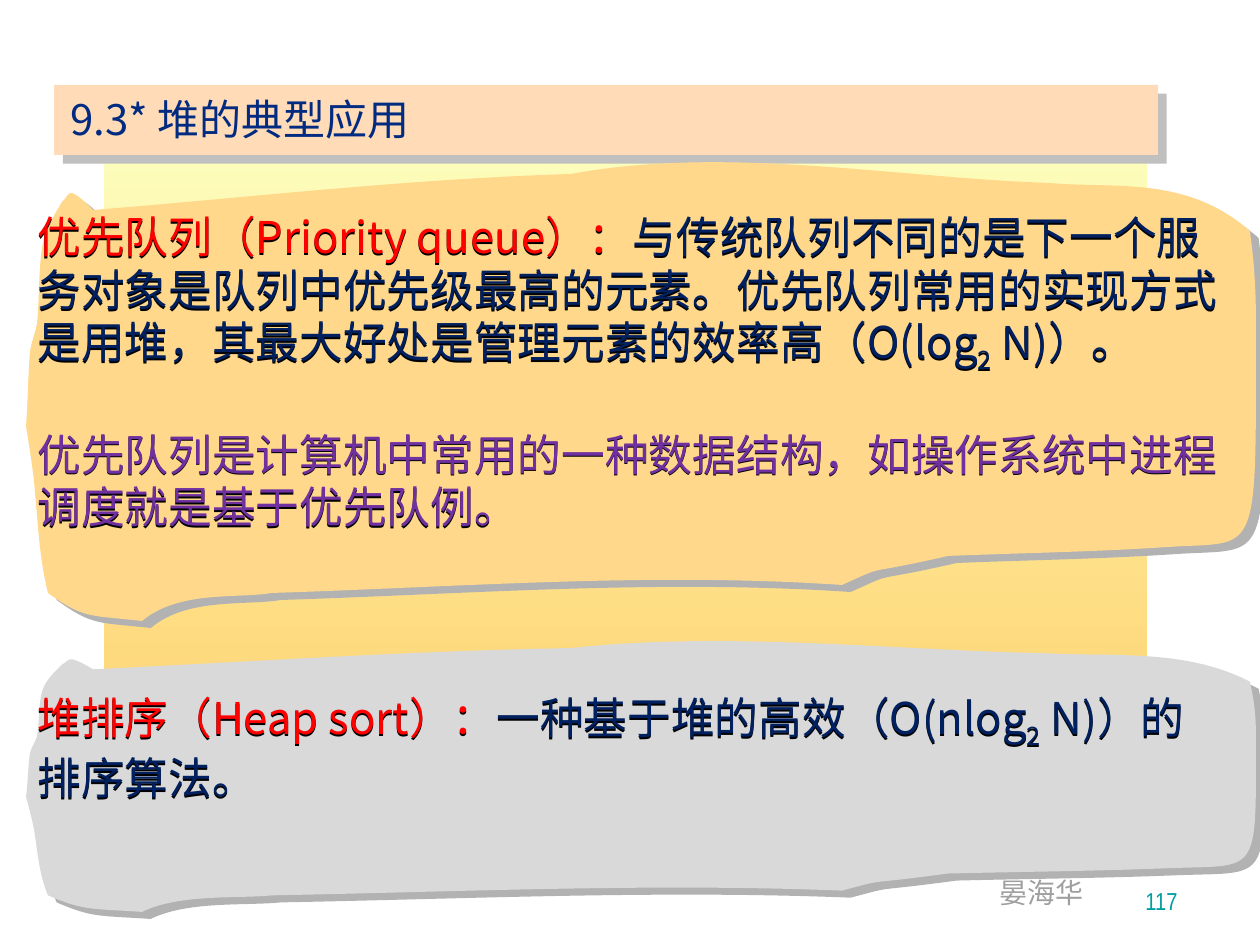
from lxml.etree import SubElement
from pptx import Presentation
from pptx.dml.color import RGBColor
from pptx.enum.shapes import MSO_SHAPE as Preset
from pptx.enum.text import MSO_ANCHOR as Anchor, MSO_AUTO_SIZE as AutoSize, PP_ALIGN as Align
from pptx.oxml.ns import qn
from pptx.util import Inches, Pt

PX = 7257  # EMU in one px, at 126 px to the inch
CJK, NARROW = "Noto Sans CJK SC", "Arial Narrow"

PALE_YELLOW = RGBColor(0xFC, 0xFE, 0xBC)
AMBER = RGBColor(0xFF, 0xCC, 0x66)
PEACH = RGBColor(0xFF, 0xDB, 0xB7)
ORANGE = RGBColor(0xFF, 0xD8, 0x8B)
LIGHT_GREY = RGBColor(0xD9, 0xD9, 0xD9)
SHADOW_GREY = RGBColor(0xB2, 0xB2, 0xB2)
SILVER = RGBColor(0xC0, 0xC0, 0xC0)
AUTHOR_GREY = RGBColor(0x9F, 0x9F, 0x9F)
TEAL = RGBColor(0x00, 0x9E, 0xA1)
BLUE = RGBColor(0x00, 0x2B, 0x80)
NAVY = RGBColor(0x00, 0x20, 0x60)
RED = RGBColor(0xFF, 0x00, 0x00)
PURPLE = RGBColor(0x70, 0x30, 0xA0)
BLACK = RGBColor(0x00, 0x00, 0x00)

# Torn-paper outline in px, y from its top: a start, then Bézier triples.
PAPER_START = (62, 57)
PAPER_CURVES = [
    ((66, 54), (68, 47), (72, 48)),
    ((79, 50), (93, 65), (93, 65)),
    ((255, 52), (407, 34), (571, 29)),
    ((727, 0), (896, 33), (1050, 38)),
    ((1114, 44), (1186, 30), (1250, 86)),
    ((1254, 118), (1256, 139), (1256, 179)),
    ((1256, 419), (1260, 396), (1168, 402)),
    ((1095, 407), (1021, 408), (948, 411)),
    ((856, 432), (891, 418), (842, 440)),
    ((651, 427), (462, 442), (272, 448)),
    ((237, 454), (179, 445), (142, 476)),
    ((89, 470), (84, 474), (48, 448)),
    ((39, 412), (38, 377), (34, 336)),
    ((32, 317), (26, 281), (26, 281)),
    ((28, 256), (28, 230), (30, 207)),
    ((32, 195), (35, 189), (37, 179)),
    ((40, 151), (38, 117), (44, 94)),
    ((49, 78), (55, 69), (62, 57)),
]
PAPER_HEIGHT = 476


def cast_shadow(shape, color, distance, angle):
    shape.shadow.inherit = False
    effects = shape.element.spPr.find(qn("a:effectLst"))
    shadow = SubElement(effects, qn("a:outerShdw"), dist=str(Pt(distance)),
                        dir=str(angle * 60000), algn="ctr", rotWithShape="0")
    SubElement(shadow, qn("a:srgbClr"), val=str(color))


def add_run(paragraph, text, size, color, font=CJK, baseline=0):
    """Add a run whose Latin and East Asian fonts are the same."""
    run = paragraph.add_run()
    run.text = text
    run.font.size = Pt(size)
    run.font.bold = False
    run.font.color.rgb = color
    run.font.name = font
    properties = run.font._element
    SubElement(properties, qn("a:ea"), typeface=font)
    if baseline:
        properties.set("baseline", str(baseline * 1000))


deck = Presentation()
deck.slide_width, deck.slide_height = Inches(10), Inches(7.5)
slide = deck.slides.add_slide(deck.slide_layouts[5])
shapes = slide.shapes

# Yellow panel behind everything
panel = shapes.add_shape(Preset.RECTANGLE, 104 * PX, 139 * PX, 1043 * PX, 721 * PX)
panel.shadow.inherit = False
panel.line.fill.background()
panel.fill.gradient()
panel.fill.gradient_angle = 270
for stop, color in zip(panel.fill.gradient_stops, (PALE_YELLOW, AMBER)):
    stop.color.rgb = color

# Footer: author and page number
author = shapes.add_textbox(987 * PX, 869 * PX, 110 * PX, 47 * PX)
author.text_frame.word_wrap = False
add_run(author.text_frame.paragraphs[0], "晏海华", 16, AUTHOR_GREY, NARROW)

page = shapes.add_textbox(928 * PX, 859 * PX, 262 * PX, 63 * PX)
page.text_frame.word_wrap = True
page.text_frame.vertical_anchor = Anchor.BOTTOM
page.text_frame.paragraphs[0].alignment = Align.RIGHT
add_run(page.text_frame.paragraphs[0], "117", 14, TEAL, NARROW)

# Title on its bar
title_bar = shapes.add_shape(Preset.RECTANGLE, 54 * PX, 85 * PX, 1104 * PX, 70 * PX)
title_bar.fill.solid()
title_bar.fill.fore_color.rgb = PEACH
title_bar.line.fill.background()
cast_shadow(title_bar, SILVER, 7.1, 45)

title = shapes.title
title.left, title.top, title.width, title.height = 58 * PX, 87 * PX, 1133 * PX, 64 * PX
title.text_frame.auto_size = AutoSize.NONE
title.text_frame.vertical_anchor = Anchor.TOP
heading = title.text_frame.paragraphs[0]
heading.alignment = Align.LEFT
add_run(heading, "9.3* 堆的典型应用", 24, BLUE)
title_bar.element.addnext(title.element)

# Notes on torn paper: paper top and height, text top and height, fill,
# then paragraphs of (text, colour, baseline) runs
notes = [
    (145, 476, 204, 331, ORANGE, [
        [("优先队列（Priority queue）：", RED, 0),
         ("与传统队列不同的是下一个服务对象是队列中优先级最高的元素。"
          "优先队列常用的实现方式是用堆，其最大好处是管理元素的效率高（O(log", NAVY, 0),
         ("2", NAVY, -25),
         (" N)）。", NAVY, 0)],
        [("优先队列是计算机中常用的一种数据结构，"
          "如操作系统中进程调度就是基于优先队例。", PURPLE, 0)],
    ]),
    (631, 281, 685, 171, LIGHT_GREY, [
        [("堆排序（Heap sort）：", RED, 0),
         ("一种基于堆的高效（O(nlog", NAVY, 0),
         ("2", NAVY, -25),
         (" N)）的排序算法。", NAVY, 0)],
    ]),
]

for paper_top, paper_height, text_top, text_height, fill, paragraphs in notes:
    stretch = paper_height / PAPER_HEIGHT
    outline = [PAPER_START] + [point for curve in PAPER_CURVES for point in curve]
    points = [(x * PX, (paper_top + y * stretch) * PX) for x, y in outline]
    builder = shapes.build_freeform(*points[0])
    builder.add_line_segments(points[1:], close=True)
    paper = builder.convert_to_shape()

    # Every three straight segments become one curve through their points
    segments = list(paper.element.iter(qn("a:lnTo")))
    for first, second, end in zip(segments[::3], segments[1::3], segments[2::3]):
        first.tag = qn("a:cubicBezTo")
        for segment in (second, end):
            first.append(segment[0])
            segment.getparent().remove(segment)

    paper.fill.solid()
    paper.fill.fore_color.rgb = fill
    paper.line.fill.background()
    cast_shadow(paper, SHADOW_GREY, 6.4, 39)

    note = shapes.add_textbox(25 * PX, text_top * PX, 1212 * PX, text_height * PX)
    note.text_frame.word_wrap = True
    cast_shadow(note, BLACK, 1, 90)
    for index, runs in enumerate(paragraphs):
        if index:
            paragraph = note.text_frame.add_paragraph()
            paragraph.space_before = Pt(30)
        else:
            paragraph = note.text_frame.paragraphs[0]
        for text, color, baseline in runs:
            add_run(paragraph, text, 25, color, baseline=baseline)

deck.save("out.pptx")
